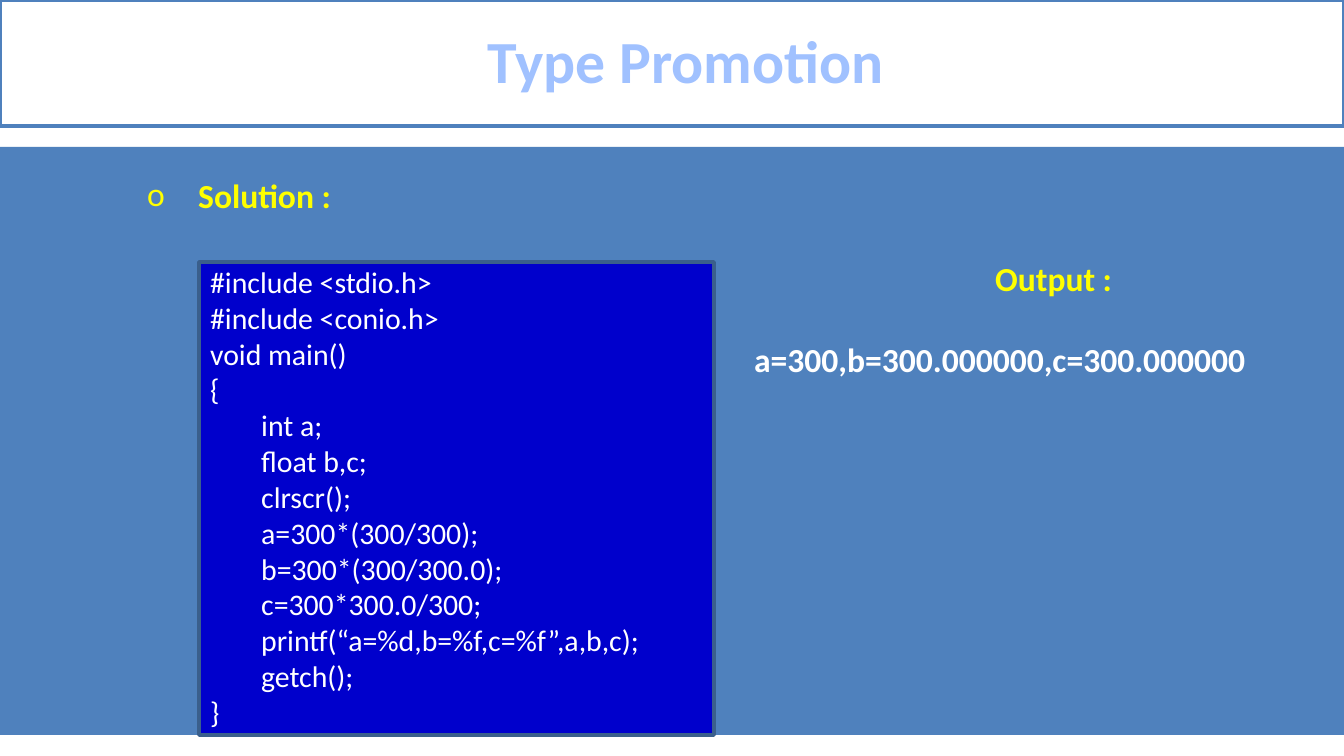
from pptx import Presentation
from pptx.dml.color import RGBColor
from pptx.enum.shapes import MSO_SHAPE as SHAPE
from pptx.enum.text import MSO_ANCHOR as ANCHOR, PP_ALIGN as ALIGN
from pptx.util import Pt
from lxml import etree

PX = 914400 / 134.4
A = "{http://schemas.openxmlformats.org/drawingml/2006/main}"
COLORS = {
    "panel": "4F81BD",
    "white": "FFFFFF",
    "title": "A0C1FF",
    "heading": "FFFF00",
    "code": "0000CC",
    "code_line": "3A5F8C",
}


def px(*values):
    return [round(v * PX) for v in values]


def add_run(p, text, size, color, bold=False):
    r = p.add_run()
    r.text = text
    r.font.name = "Calibri"
    r.font.size = Pt(size)
    r.font.bold = bold
    r.font.color.rgb = RGBColor.from_string(COLORS[color])


prs = Presentation()
prs.slide_width, prs.slide_height = px(1344, 756)
s = prs.slides.add_slide(prs.slide_layouts[5])

title = s.shapes.title
title.left, title.top, title.width, title.height = px(0, 0, 1344, 126)
title.fill.solid()
title.fill.fore_color.rgb = RGBColor.from_string(COLORS["white"])
title.line.color.rgb = RGBColor.from_string(COLORS["panel"])
title.line.width = Pt(2)
tf = title.text_frame
tf.vertical_anchor = ANCHOR.MIDDLE
p = tf.paragraphs[0]
p.alignment = ALIGN.CENTER
p.line_spacing = 0.96
p._p.get_or_add_pPr().set("marL", str(px(28)[0]))
add_run(p, "Type Promotion", 32, "title", True)

for box, fill, line in [
    ((0, 147, 1344, 588), "panel", None),
    ((199, 262, 515, 473), "code", "code_line"),
]:
    sp = s.shapes.add_shape(SHAPE.RECTANGLE, *px(*box))
    sp.shadow.inherit = False
    sp.fill.solid()
    sp.fill.fore_color.rgb = RGBColor.from_string(COLORS[fill])
    if line:
        sp.line.color.rgb = RGBColor.from_string(COLORS[line])
        sp.line.width = Pt(2)
    else:
        sp.line.fill.background()

code = [
    "#include <stdio.h>",
    "#include <conio.h>",
    "void main()",
    "{",
    "\tint a;",
    "\tfloat b,c;",
    "\tclrscr();",
    "\ta=300*(300/300);",
    "\tb=300*(300/300.0);",
    "\tc=300*300.0/300;",
    "\tprintf(“a=%d,b=%f,c=%f”,a,b,c);",
    "\tgetch();",
    "}",
]
blocks = [
    ((0, 168, 1344, 54), [("Solution :", 18, "heading", True, 185, -51, 0)]),
    ((63, 257, 641, 520), [(t, 16, "white", False, 185, -51, 0) for t in code]),
    ((556, 251, 788, 176), [
        ("Output :", 18, "heading", True, 426, 0, 0),
        ("a=300,b=300.000000,c=300.000000", 18, "white", True, 185, 0, 22),
    ]),
]
for box, lines in blocks:
    tf = s.shapes.add_textbox(*px(*box)).text_frame
    tf.word_wrap = True
    for i, (text, size, color, bold, margin, indent, before) in enumerate(lines):
        p = tf.add_paragraph() if i else tf.paragraphs[0]
        p.space_before = Pt(before)
        pPr = p._p.get_or_add_pPr()
        pPr.set("marL", str(px(margin)[0]))
        pPr.set("indent", str(px(indent)[0]))
        if text == "Solution :":
            etree.SubElement(pPr, A + "buFont", typeface="Calibri")
            etree.SubElement(pPr, A + "buChar", char="o")
        add_run(p, text, size, color, bold)

prs.save("out.pptx")
